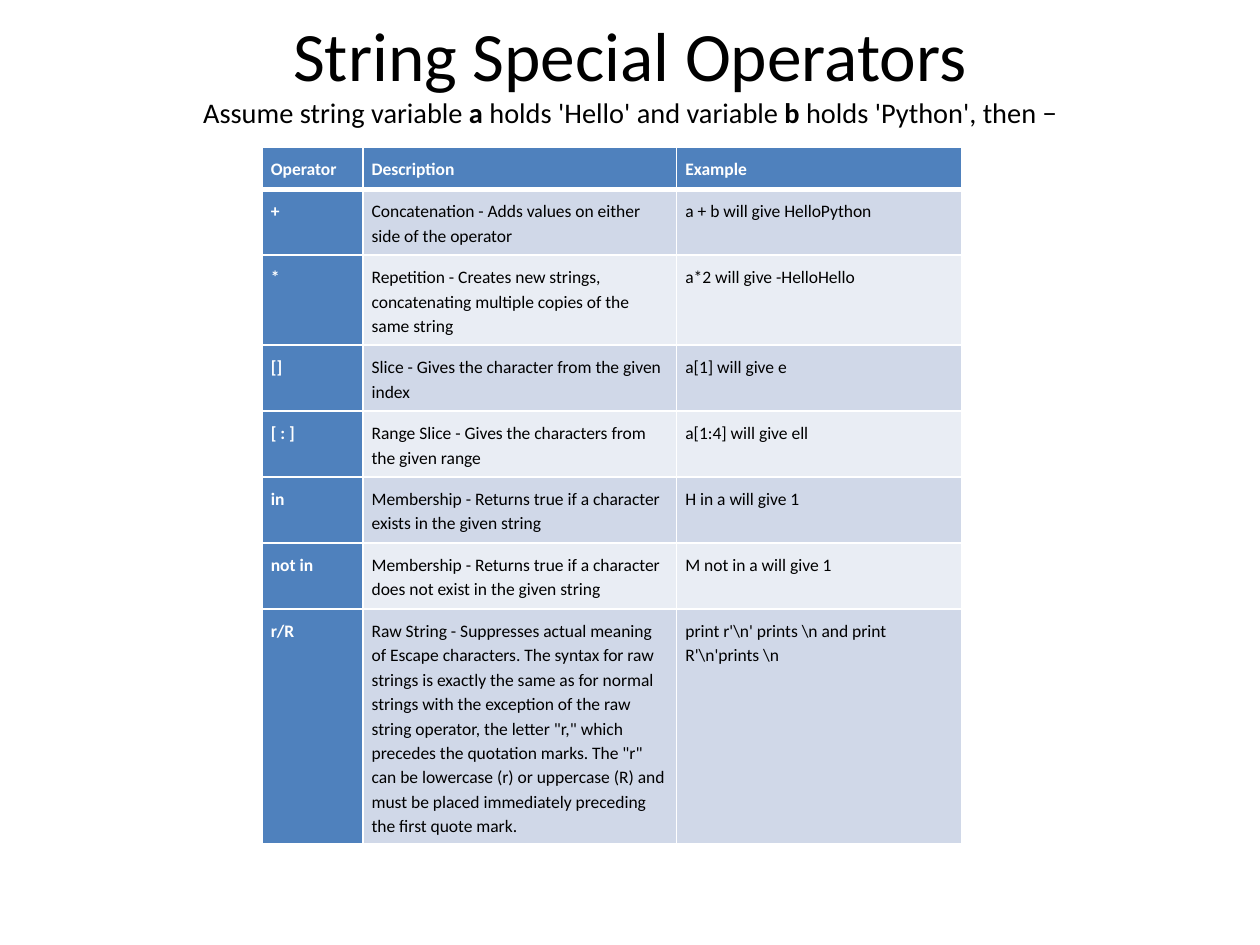
from lxml import etree
from pptx import Presentation
from pptx.dml.color import RGBColor
from pptx.enum.text import MSO_ANCHOR, PP_ALIGN
from pptx.oxml.ns import qn
from pptx.util import Inches, Pt

CENTER, LEFT = PP_ALIGN.CENTER, PP_ALIGN.LEFT
MIDDLE = MSO_ANCHOR.MIDDLE
FONT = "Calibri"
COLORS = {"header": "4F81BD", "odd": "D0D8E8", "even": "E9EDF4",
          "white": "FFFFFF", "black": "000000"}

# Content
TITLE = "String Special Operators"
SUBTITLE = [("Assume string variable ", False), ("a", True),
            (" holds 'Hello' and variable ", False), ("b", True),
            (" holds 'Python', then −", False)]
ROWS = [
    ("Operator", "Description", "Example"),
    ("+", "Concatenation - Adds values on either side of the operator",
     "a + b will give HelloPython"),
    ("*", "Repetition - Creates new strings, concatenating multiple copies of the same string",
     "a*2 will give -HelloHello"),
    ("[]", "Slice - Gives the character from the given index", "a[1] will give e"),
    ("[ : ]", "Range Slice - Gives the characters from the given range",
     "a[1:4] will give ell"),
    ("in", "Membership - Returns true if a character exists in the given string",
     "H in a will give 1"),
    ("not in", "Membership - Returns true if a character does not exist in the given string",
     "M not in a will give 1"),
    ("r/R", "Raw String - Suppresses actual meaning of Escape characters. The syntax for "
     "raw strings is exactly the same as for normal strings with the exception of the raw "
     "string operator, the letter \"r,\" which precedes the quotation marks. The \"r\" can be "
     "lowercase (r) or uppercase (R) and must be placed immediately preceding the first "
     "quote mark.",
     r"print r'\n' prints \n and print R'\n'prints \n"),
]
COL_WIDTHS = [0.8, 2.49, 2.26]
ROW_HEIGHTS = [0.33, 0.52, 0.7, 0.52, 0.52, 0.52, 0.52, 1.82]


def add_text(p, text, size=10, color="black", bold=False, align=LEFT,
             spacing=1.15, after=10):
    p.alignment = align
    p.line_spacing = spacing
    p.space_after = Pt(after)
    r = p.add_run()
    r.text = text
    r.font.name = FONT
    r.font.size = Pt(size)
    r.font.bold = bold
    r.font.color.rgb = RGBColor.from_string(COLORS[color])


def set_borders(cell, bottom=1):
    tc_pr = cell._tc.get_or_add_tcPr()
    widths = {"a:lnL": 1, "a:lnR": 1, "a:lnT": 1, "a:lnB": bottom}
    for i, (tag, width) in enumerate(widths.items()):
        ln = etree.Element(qn(tag), w=str(Pt(width)))
        fill = etree.SubElement(ln, qn("a:solidFill"))
        etree.SubElement(fill, qn("a:srgbClr"), val=COLORS["white"])
        tc_pr.insert(i, ln)


prs = Presentation()
prs.slide_width, prs.slide_height = Inches(10), Inches(7.5)
slide = prs.slides.add_slide(prs.slide_layouts[6])

# Title and subtitle
sp = slide.shapes.add_textbox(Inches(0.5), Inches(0.3), Inches(9), Inches(0.78))
tf = sp.text_frame
tf.word_wrap = True
tf.vertical_anchor = MIDDLE
tf.margin_top = Inches(0.15)
p = tf.paragraphs[0]
heading = {"align": CENTER, "spacing": 0.95, "after": 0}
add_text(p, TITLE, size=39.6, **heading)
p.add_line_break()
for text, bold in SUBTITLE:
    add_text(p, text, size=16.2, bold=bold, **heading)
p.add_line_break()

# Operator table
table = slide.shapes.add_table(len(ROWS), len(COL_WIDTHS), Inches(2.08), Inches(1.17),
                               Inches(sum(COL_WIDTHS)), Inches(sum(ROW_HEIGHTS))).table
table.first_col = True
for column, width in zip(table.columns, COL_WIDTHS):
    column.width = Inches(width)
for row, height in zip(table.rows, ROW_HEIGHTS):
    row.height = Inches(height)

for i, texts in enumerate(ROWS):
    for j, text in enumerate(texts):
        cell = table.cell(i, j)
        is_header = i == 0 or j == 0
        band = "header" if is_header else "odd" if i % 2 else "even"
        cell.fill.solid()
        cell.fill.fore_color.rgb = RGBColor.from_string(COLORS[band])
        cell.margin_left = cell.margin_right = Inches(0.07)
        cell.margin_top = cell.margin_bottom = Inches(0.07)
        set_borders(cell, bottom=3 if i == 0 else 1)
        add_text(cell.text_frame.paragraphs[0], text, bold=is_header,
                 color="white" if is_header else "black")

prs.save("out.pptx")
